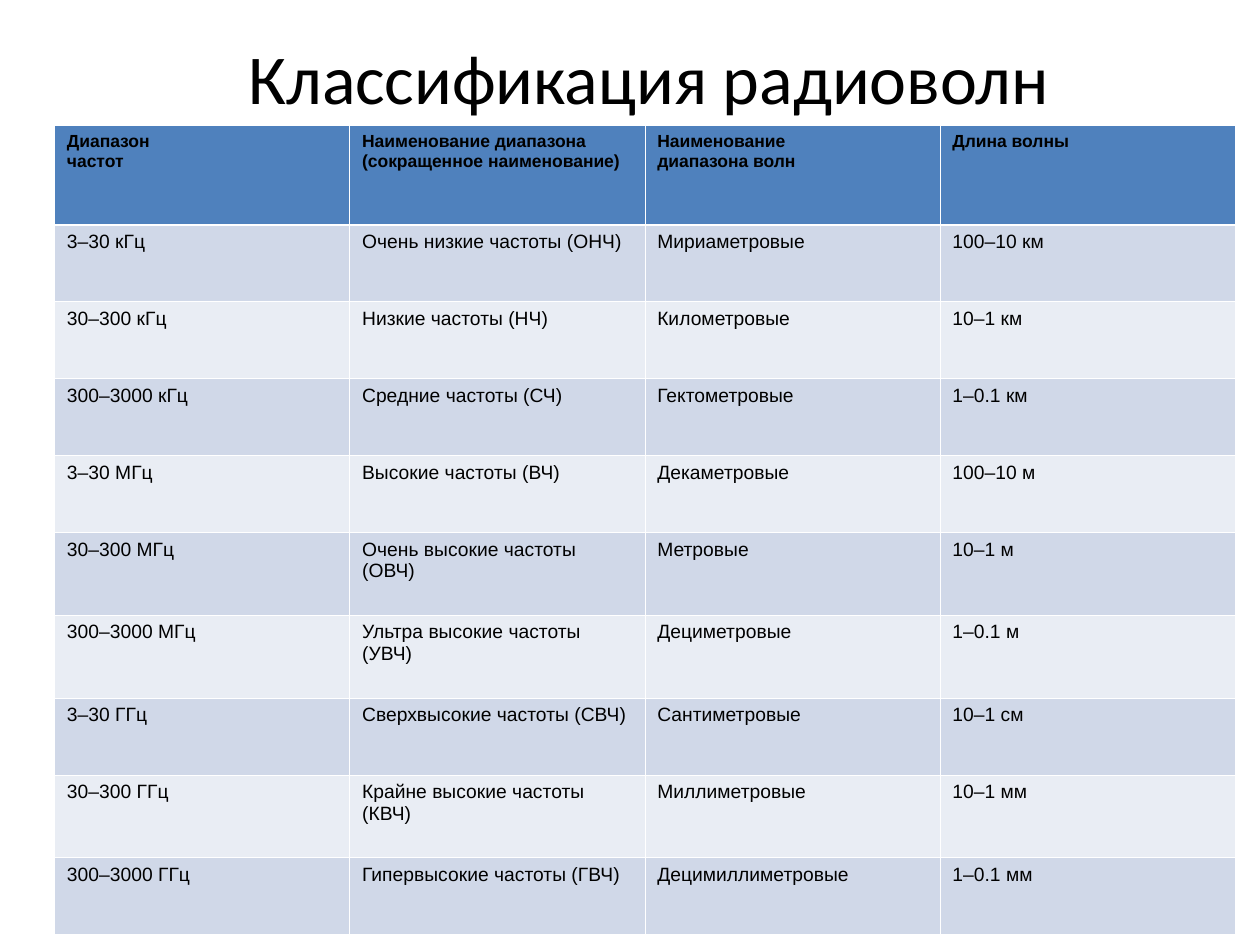
import pptx
import pptx.util
import pptx.dml.color
import pptx.enum.text
import pptx.oxml
import pptx.oxml.ns

Cm, Pt = pptx.util.Cm, pptx.util.Pt
ink = {"text": "000000", "head": "4F81BD", "odd": "D0D8E8",
       "even": "E9EDF4", "line": "FFFFFF"}


def write(par, text, font, size, bold=False):
    """Add text as runs, with a line break at each newline."""
    for i, part in enumerate(text.split("\n")):
        if i:
            par.add_line_break()
        run = par.add_run()
        run.text = part
        run.font.name = font
        run.font.size = Pt(size)
        run.font.bold = bold
        run.font.color.rgb = pptx.dml.color.RGBColor.from_string(ink["text"])


def edge(cell, side, width):
    """Draw one border of a cell; side is L, R, T or B."""
    cell._tc.get_or_add_tcPr().append(pptx.oxml.parse_xml(
        f'<a:ln{side} {pptx.oxml.ns.nsdecls("a")} w="{Pt(width)}"><a:solidFill>'
        f'<a:srgbClr val="{ink["line"]}"/></a:solidFill></a:ln{side}>'))


deck = pptx.Presentation()
deck.slide_width, deck.slide_height = Cm(25.4), Cm(19.05)
slide = deck.slides.add_slide(deck.slide_layouts[6])

# Title
title = slide.shapes.add_textbox(Cm(1.27), Cm(0.76), Cm(23.62), Cm(1.37))
frame = title.text_frame
frame.word_wrap = True
frame.vertical_anchor = pptx.enum.text.MSO_ANCHOR.MIDDLE
frame.margin_left = frame.margin_right = frame.margin_bottom = 0
frame.margin_top = Cm(0.2)
par = frame.paragraphs[0]
par.alignment = pptx.enum.text.PP_ALIGN.CENTER
write(par, "Классификация радиоволн", "Calibri", 40)

# Table of wave bands
rows = [
    ("Диапазон\nчастот", "Наименование диапазона\n(сокращенное наименование)",
     "Наименование\nдиапазона волн", "Длина волны"),
    ("3–30 кГц", "Очень низкие частоты (ОНЧ)", "Мириаметровые", "100–10 км"),
    ("30–300 кГц", "Низкие частоты (НЧ)", "Километровые", "10–1 км"),
    ("300–3000 кГц", "Средние частоты (СЧ)", "Гектометровые", "1–0.1 км"),
    ("3–30 МГц", "Высокие частоты (ВЧ)", "Декаметровые", "100–10 м"),
    ("30–300 МГц", "Очень высокие частоты (ОВЧ)", "Метровые", "10–1 м"),
    ("300–3000 МГц", "Ультра высокие частоты (УВЧ)", "Дециметровые", "1–0.1 м"),
    ("3–30 ГГц", "Сверхвысокие частоты (СВЧ)", "Сантиметровые", "10–1 см"),
    ("30–300 ГГц", "Крайне высокие частоты (КВЧ)", "Миллиметровые", "10–1 мм"),
    ("300–3000 ГГц", "Гипервысокие частоты (ГВЧ)", "Децимиллиметровые", "1–0.1 мм"),
]
tall = (5, 6, 8)  # rows whose band name takes two lines
high = [2 if r == 0 else 1.67 if r in tall else 1.55 for r in range(len(rows))]
table = slide.shapes.add_table(len(rows), 4, Cm(1.1), Cm(2.53),
                               Cm(23.8), Cm(sum(high))).table
for col in table.columns:
    col.width = Cm(5.95)

for r, row in enumerate(rows):
    table.rows[r].height = Cm(high[r])
    tone = ink["head" if r == 0 else "odd" if r % 2 else "even"]
    for c, text in enumerate(row):
        cell = table.cell(r, c)
        cell.margin_left = cell.margin_right = Cm(0.25)
        cell.margin_top = cell.margin_bottom = Cm(0.13)
        edge(cell, "L", 0.45)
        edge(cell, "R", 0.45)
        edge(cell, "T", 1.47 if r == 1 else 0.45)
        edge(cell, "B", 1.47 if r == 0 else 0.45)
        cell.fill.solid()
        cell.fill.fore_color.rgb = pptx.dml.color.RGBColor.from_string(tone)
        write(cell.text_frame.paragraphs[0], text, "Arial",
              10 if r == 0 else 11, r == 0)

deck.save("out.pptx")
